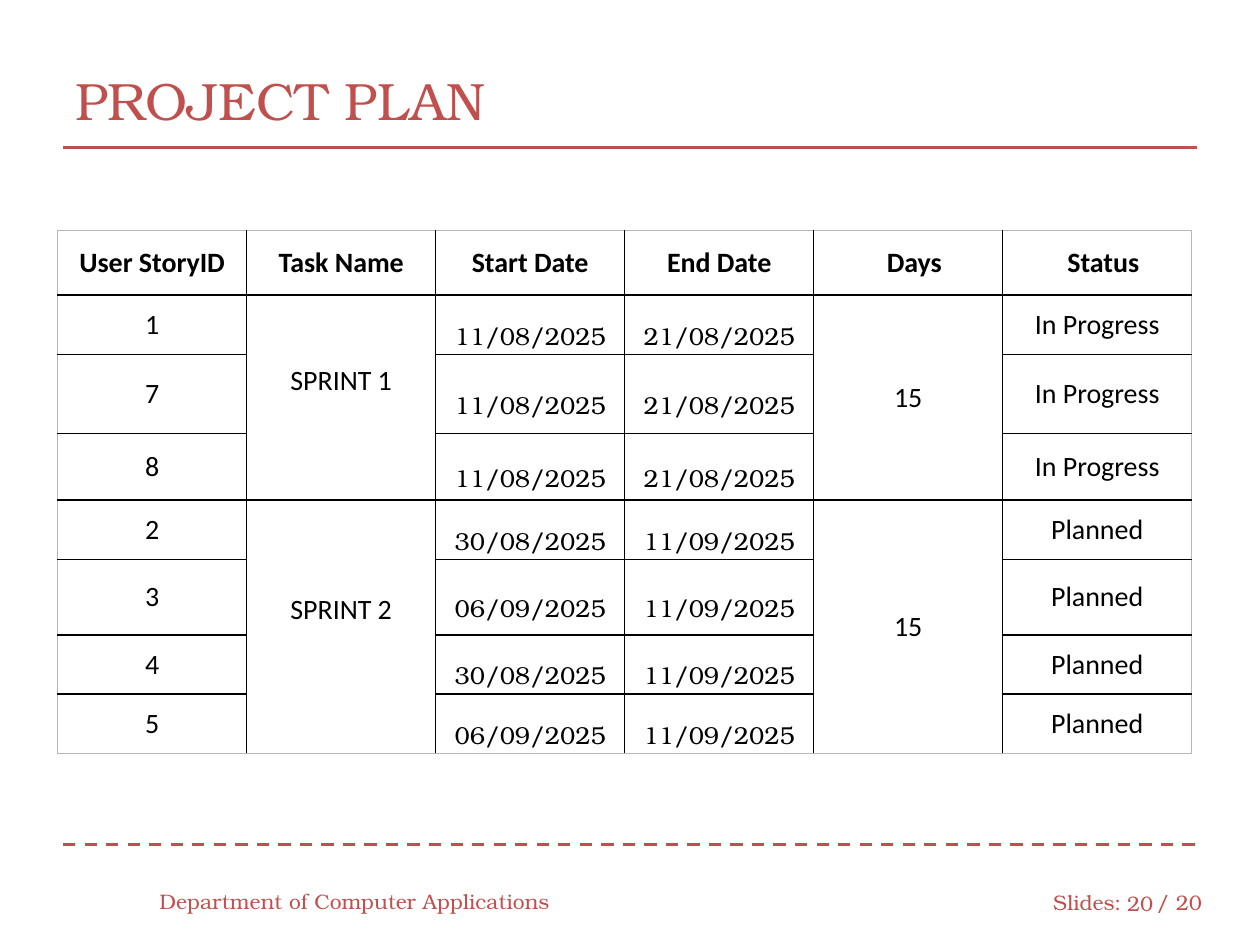
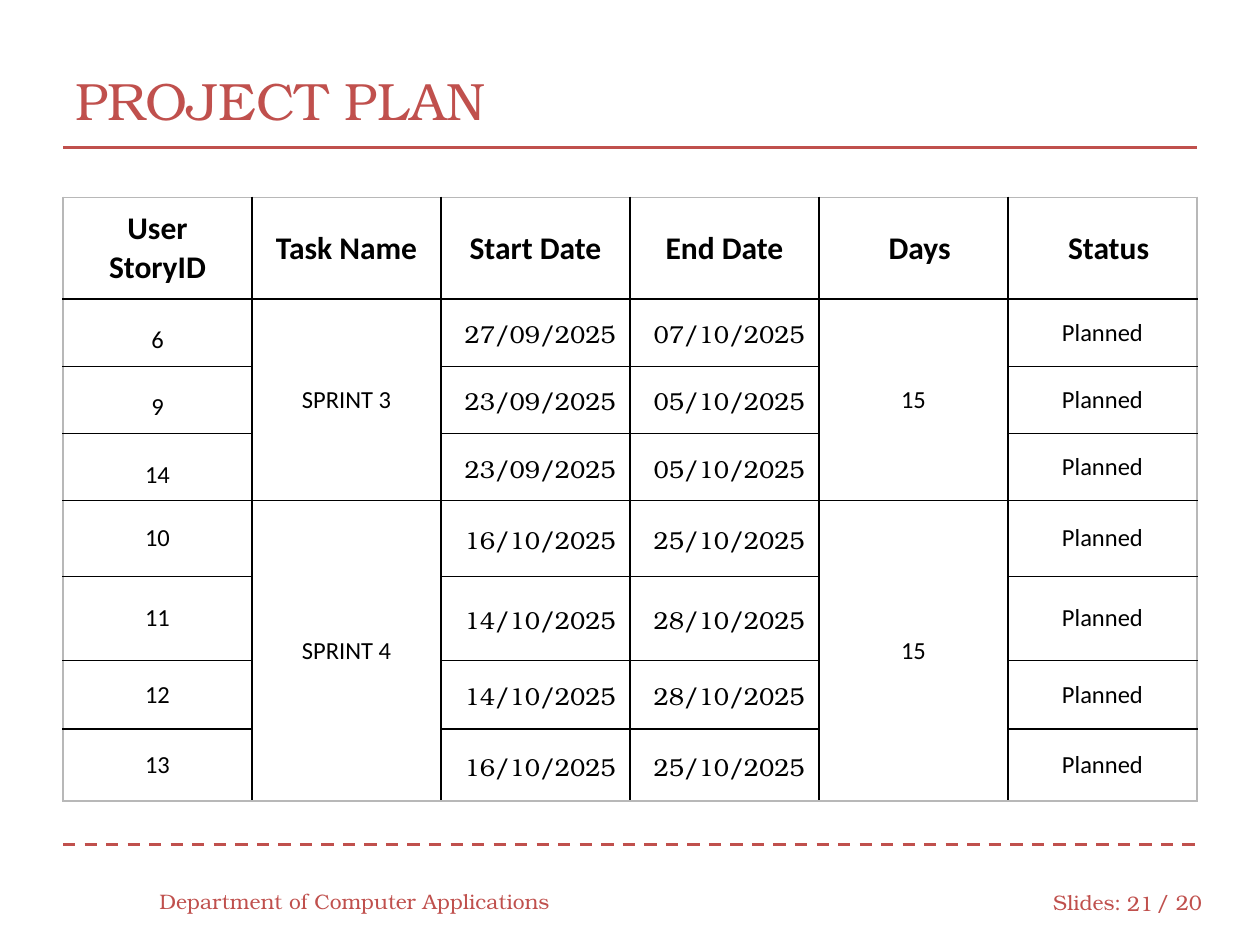
"""Builds two project plan slides with sprint tables."""
from dataclasses import dataclass

from lxml.etree import SubElement
from pptx import Presentation
from pptx.dml.color import RGBColor
from pptx.enum.dml import MSO_LINE
from pptx.enum.shapes import MSO_CONNECTOR
from pptx.enum.text import MSO_ANCHOR, PP_ALIGN
from pptx.oxml.ns import qn
from pptx.util import Pt

COLOURS = {"accent": "C0504D", "ink": "000000", "paper": "FFFFFF", "edge": "B8B8B8"}
SERIF, SANS = "TeX Gyre Bonum", "Calibri"
LEFT, RIGHT = 36, 684
COLUMN_WIDTH = 108
HEADERS = ["Task Name", "Start Date", "End Date", "Days", "Status"]
EVEN = (7.2, 7.2, 7.2, 7.2)
NARROW = (7.2, 3.6, 7.2, 3.6)
SHIFTED = (14.2, 7.2, 7.2, 7.2)


@dataclass
class Sprint:
    name: str
    days: str
    tasks: list


@dataclass
class Plan:
    number: str
    place: tuple
    row_heights: list
    id_header: str
    header_size: float
    body_size: float
    date_inset: tuple
    date_align: PP_ALIGN
    name_inset: tuple
    sprints: list
    id_inset: tuple = EVEN
    loose_rows: int = 0


PLANS = [
    Plan("20", (33, 131.8), [36.8, 34, 45, 38.2, 34, 43, 34, 34], "User StoryID", 16, 16,
         (10.8, 10.8, 5.4, 0), PP_ALIGN.LEFT, (7.2, 3.6, 7.2, 22.6), [
             Sprint("SPRINT 1", "15", [
                 ("1", "11/08/2025", "21/08/2025", "In Progress"),
                 ("7", "11/08/2025", "21/08/2025", "In Progress"),
                 ("8", "11/08/2025", "21/08/2025", "In Progress")]),
             Sprint("SPRINT 2", "15", [
                 ("2", "30/08/2025", "11/09/2025", "Planned"),
                 ("3", "06/09/2025", "11/09/2025", "Planned"),
                 ("4", "30/08/2025", "11/09/2025", "Planned"),
                 ("5", "06/09/2025", "11/09/2025", "Planned")])]),
    Plan("21", (36, 112.8), [58.2, 38.4, 38.4, 38.4, 43.2, 48.2, 39.2, 41], "User\nStoryID", 18, 14,
         (10.8, 0, 5.4, 0), PP_ALIGN.CENTER, NARROW, [
             Sprint("SPRINT 3", "15", [
                 ("6", "27/09/2025", "07/10/2025", "Planned"),
                 ("9", "23/09/2025", "05/10/2025", "Planned"),
                 ("14", "23/09/2025", "05/10/2025", "Planned")]),
             Sprint("SPRINT 4", "15", [
                 ("10", "16/10/2025", "25/10/2025", "Planned"),
                 ("11", "14/10/2025", "28/10/2025", "Planned"),
                 ("12", "14/10/2025", "28/10/2025", "Planned"),
                 ("13", "16/10/2025", "25/10/2025", "Planned")])],
         NARROW, 3),
]


def colour(name):
    return RGBColor.from_string(COLOURS[name])


def style(paragraph, font, size, ink, bold=False, align=PP_ALIGN.LEFT):
    paragraph.alignment = align
    paragraph.font.name = font
    paragraph.font.size = Pt(size)
    paragraph.font.bold = bold
    paragraph.font.color.rgb = colour(ink)


def add_label(page, box, text, size=12, align=PP_ALIGN.LEFT):
    frame = page.shapes.add_textbox(*map(Pt, box)).text_frame
    frame.word_wrap = True
    frame.vertical_anchor = MSO_ANCHOR.MIDDLE
    frame.text = text
    style(frame.paragraphs[0], SERIF, size, "accent", align=align)


def add_rule(page, top, dash=None):
    rule = page.shapes.add_connector(MSO_CONNECTOR.STRAIGHT, Pt(LEFT), Pt(top), Pt(RIGHT), Pt(top))
    rule.line.color.rgb = colour("accent")
    rule.line.width = Pt(1.75)
    if dash:
        rule.line.dash_style = dash
    SubElement(rule.element.spPr, qn("a:effectLst"))


def add_heading(page, box):
    left, top, width, height = box
    add_label(page, box, "PROJECT PLAN", 30)
    add_rule(page, top + height - 5.6)


def add_footer(page, top, number):
    add_rule(page, top, MSO_LINE.DASH)
    add_label(page, (84, top + 18, 246, 28.8), "Department of Computer Applications")
    add_label(page, (594.8, top + 18.7, 58, 28.8), "Slides:")
    add_label(page, (635.8, top + 19.4, 30.2, 28.8), number, align=PP_ALIGN.RIGHT)
    add_label(page, (653.8, top + 18.7, 41.8, 28.8), "/ 20")


def fill_cell(cell, text, inset, font, size, bold=False, align=PP_ALIGN.CENTER):
    cell.margin_left, cell.margin_top, cell.margin_right, cell.margin_bottom = map(Pt, inset)
    cell.vertical_anchor = MSO_ANCHOR.MIDDLE
    cell.text = text
    for paragraph in cell.text_frame.paragraphs:
        style(paragraph, font, size, "ink", bold, align)
        if font == SERIF:
            paragraph.line_spacing = 1.07
            paragraph.space_after = Pt(8)


def draw_borders(grid):
    last_row, last_column = len(grid.rows) - 1, len(grid.columns) - 1
    for row in range(last_row + 1):
        for column in range(last_column + 1):
            cell = grid.cell(row, column)
            bottom = row + (cell.span_height if cell.is_merge_origin else 1) - 1
            outer = {"a:lnL": column == 0, "a:lnR": column == last_column,
                     "a:lnT": row == 0, "a:lnB": bottom == last_row}
            properties = cell._tc.get_or_add_tcPr()
            for tag, is_outer in outer.items():
                line = SubElement(properties, qn(tag), w=str(Pt(1)))
                paint = SubElement(line, qn("a:solidFill"))
                SubElement(paint, qn("a:srgbClr"), val=COLOURS["edge" if is_outer else "ink"])
            cell.fill.solid()
            cell.fill.fore_color.rgb = colour("paper")


def add_sprint(grid, first, sprint, plan):
    for column, text, inset in ((1, sprint.name, plan.name_inset), (4, sprint.days, NARROW)):
        origin = grid.cell(first, column)
        origin.merge(grid.cell(first + len(sprint.tasks) - 1, column))
        fill_cell(origin, text, inset, SANS, plan.body_size)
    for row, (story, start, end, status) in enumerate(sprint.tasks, first):
        fill_cell(grid.cell(row, 0), story, plan.id_inset, SANS, plan.body_size)
        if row <= plan.loose_rows:
            grid.cell(row, 0).text_frame.paragraphs[0].line_spacing = 1.5
        for column, date in ((2, start), (3, end)):
            fill_cell(grid.cell(row, column), date, plan.date_inset, SERIF, 14, align=plan.date_align)
        fill_cell(grid.cell(row, 5), status, EVEN, SANS, plan.body_size)


def add_plan_table(page, plan):
    headers = [plan.id_header, *HEADERS]
    box = (*plan.place, COLUMN_WIDTH * len(headers), sum(plan.row_heights))
    grid = page.shapes.add_table(len(plan.row_heights), len(headers), *map(Pt, box)).table
    grid.first_row = grid.horz_banding = False
    for row, height in zip(grid.rows, plan.row_heights):
        row.height = Pt(height)
    for column, text in enumerate(headers):
        inset = SHIFTED if column > 3 else EVEN
        fill_cell(grid.cell(0, column), text, inset, SANS, plan.header_size, bold=True)
    first = 1
    for sprint in plan.sprints:
        add_sprint(grid, first, sprint, plan)
        first += len(sprint.tasks)
    draw_borders(grid)


def add_plan_page(deck, plan):
    page = deck.slides.add_slide(deck.slide_layouts[6])
    add_heading(page, (LEFT, 23.8, RIGHT - LEFT, 66.2))
    add_plan_table(page, plan)
    add_footer(page, 482.4, plan.number)


def main():
    deck = Presentation()
    deck.slide_width, deck.slide_height = Pt(720), Pt(540)
    for plan in PLANS:
        add_plan_page(deck, plan)
    deck.save("out.pptx")


if __name__ == "__main__":
    main()
